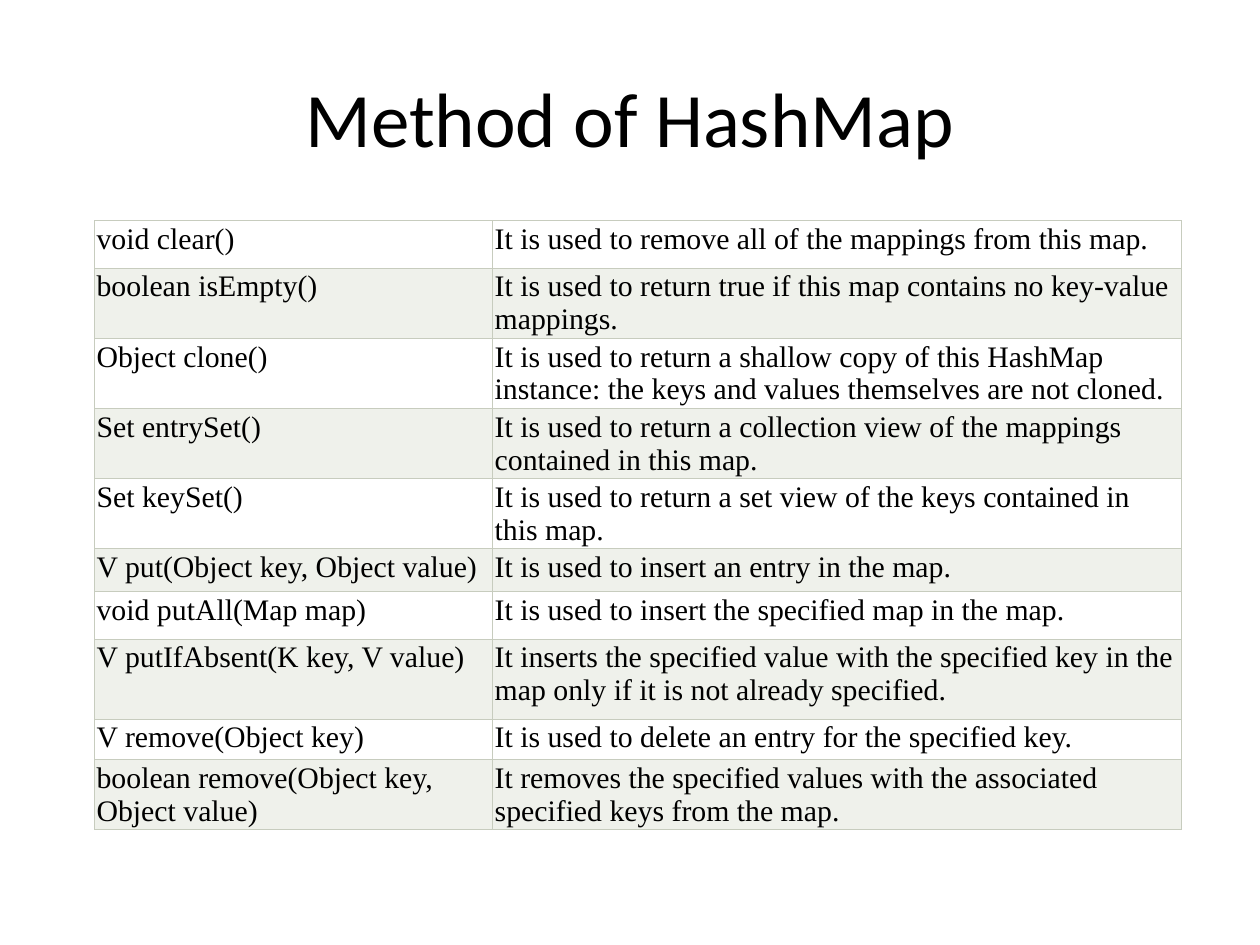
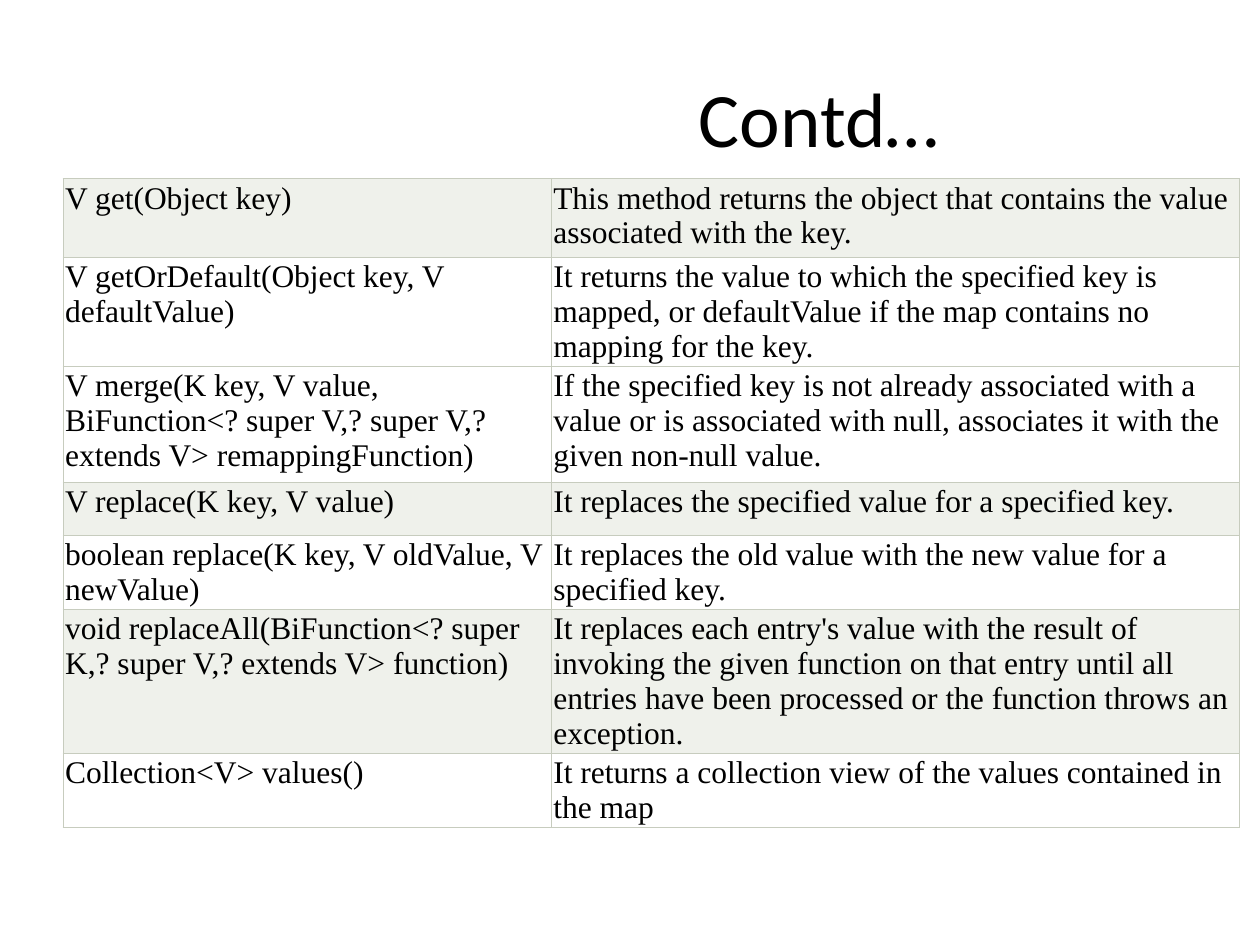
from lxml import etree
from pptx import Presentation
from pptx import util as u
from pptx.dml import color
from pptx.enum import text
from pptx.oxml import ns

COLOURS = {"page": "FFFFFF", "text": "000000", "band": "EFF1EB", "border": "C7CCBE"}
TITLE_FONT, TABLE_FONT = "Calibri", "Times New Roman"
LINE_PITCH = 1.107  # line height of the table font, relative to its size
CELL_INSET = 1.2
BORDER_WIDTH = 0.5

# Each row: height in points, method, description
BASIC_METHODS = [
    (27.4, "void clear()", "It is used to remove all of the mappings from this map."),
    (33.1, "boolean isEmpty()",
     "It is used to return true if this map contains no key-value mappings."),
    (32.4, "Object clone()",
     "It is used to return a shallow copy of this HashMap instance: "
     "the keys and values themselves are not cloned."),
    (38.9, "Set entrySet()",
     "It is used to return a collection view of the mappings contained in this map."),
    (33.1, "Set keySet()",
     "It is used to return a set view of the keys contained in this map."),
    (24.5, "V put(Object key, Object value)", "It is used to insert an entry in the map."),
    (27.1, "void putAll(Map map)", "It is used to insert the specified map in the map."),
    (45.8, "V putIfAbsent(K key, V value)",
     "It inserts the specified value with the specified key in the map "
     "only if it is not already specified."),
    (23.2, "V remove(Object key)", "It is used to delete an entry for the specified key."),
    (39.6, "boolean remove(Object key, Object value)",
     "It removes the specified values with the associated specified keys from the map."),
]
MORE_METHODS = [
    (44.9, "V get(Object key)",
     "This method returns the object that contains the value associated with the key."),
    (59, "V getOrDefault(Object key, V defaultValue)",
     "It returns the value to which the specified key is mapped, "
     "or defaultValue if the map contains no mapping for the key."),
    (66.2, "V merge(K key, V value, BiFunction<? super V,? super V,? extends V> "
     "remappingFunction)",
     "If the specified key is not already associated with a value or is associated "
     "with null, associates it with the given non-null value."),
    (30.6, "V replace(K key, V value)",
     "It replaces the specified value for a specified key."),
    (38.2, "boolean replace(K key, V oldValue, V newValue)",
     "It replaces the old value with the new value for a specified key."),
    (79.9, "void replaceAll(BiFunction<? super K,? super V,? extends V> function)",
     "It replaces each entry's value with the result of invoking the given function "
     "on that entry until all entries have been processed or the function throws "
     "an exception."),
    (38.2, "Collection<V> values()",
     "It returns a collection view of the values contained in the map"),
]


def rgb(name):
    return color.RGBColor.from_string(COLOURS[name])


class Deck:
    """Holds the shared style and the current slide."""

    def __init__(self):
        self.presentation = Presentation()
        self.presentation.slide_width = u.Pt(720)
        self.presentation.slide_height = u.Pt(540)
        self.slide = None

    def add_slide(self):
        self.slide = self.presentation.slides.add_slide(self.presentation.slide_layouts[6])
        self.slide.background.fill.solid()
        self.slide.background.fill.fore_color.rgb = rgb("page")

    def format_text(self, text_frame, font_name, size):
        for paragraph in text_frame.paragraphs:
            for run in paragraph.runs:
                run.font.name = font_name
                run.font.size = u.Pt(size)
                run.font.bold = False
                run.font.color.rgb = rgb("text")

    def add_title(self, wording, left_inset=7.2):
        shape = self.slide.shapes.add_textbox(u.Pt(36), u.Pt(21.6), u.Pt(648), u.Pt(90))
        text_frame = shape.text_frame
        text_frame.word_wrap = True
        text_frame.margin_left = u.Pt(left_inset)
        text_frame.vertical_anchor = text.MSO_ANCHOR.MIDDLE
        text_frame.text = wording
        text_frame.paragraphs[0].alignment = text.PP_ALIGN.CENTER
        self.format_text(text_frame, TITLE_FONT, 44)

    def add_method_table(self, left, top, column_widths, methods, banded_rows, size):
        height = sum(row_height for row_height, *_ in methods)
        table = self.slide.shapes.add_table(
            len(methods), len(column_widths), u.Pt(left), u.Pt(top),
            u.Pt(sum(column_widths)), u.Pt(height)).table
        table.first_row = table.horz_banding = False
        for column, width in zip(table.columns, column_widths):
            column.width = u.Pt(width)
        for index, (row_height, *wordings) in enumerate(methods):
            table.rows[index].height = u.Pt(row_height)
            fill_name = "band" if index in banded_rows else "page"
            for cell, wording in zip(table.rows[index].cells, wordings):
                self.fill_cell(cell, wording, fill_name, size)

    def fill_cell(self, cell, wording, fill_name, size):
        cell.margin_left = cell.margin_right = u.Pt(CELL_INSET)
        cell.margin_top = cell.margin_bottom = u.Pt(CELL_INSET)
        cell.text_frame.text = wording
        cell.text_frame.paragraphs[0].line_spacing = u.Pt(size * LINE_PITCH)
        self.format_text(cell.text_frame, TABLE_FONT, size)
        cell.fill.solid()
        cell.fill.fore_color.rgb = rgb(fill_name)
        self.add_borders(cell)

    def add_borders(self, cell):
        # Border lines come before the fill in the cell properties
        properties = cell._tc.get_or_add_tcPr()
        for position, side in enumerate(("lnL", "lnR", "lnT", "lnB")):
            line = etree.Element(ns.qn(f"a:{side}"), w=str(u.Pt(BORDER_WIDTH)))
            fill = etree.SubElement(line, ns.qn("a:solidFill"))
            etree.SubElement(fill, ns.qn("a:srgbClr"), val=COLOURS["border"])
            properties.insert(position, line)


def main():
    deck = Deck()

    # Basic methods
    deck.add_slide()
    deck.add_title("Method of HashMap")
    deck.add_method_table(54, 126, (227.5, 393.8), BASIC_METHODS,
                          banded_rows=range(1, 10, 2), size=17)

    # Further methods, with the title moved to the right
    deck.add_slide()
    deck.add_title("Contd…", left_inset=223)
    deck.add_method_table(36, 102.2, (279, 393.1), MORE_METHODS,
                          banded_rows=(0, 3, 5), size=18)

    deck.presentation.save("out.pptx")


if __name__ == "__main__":
    main()
